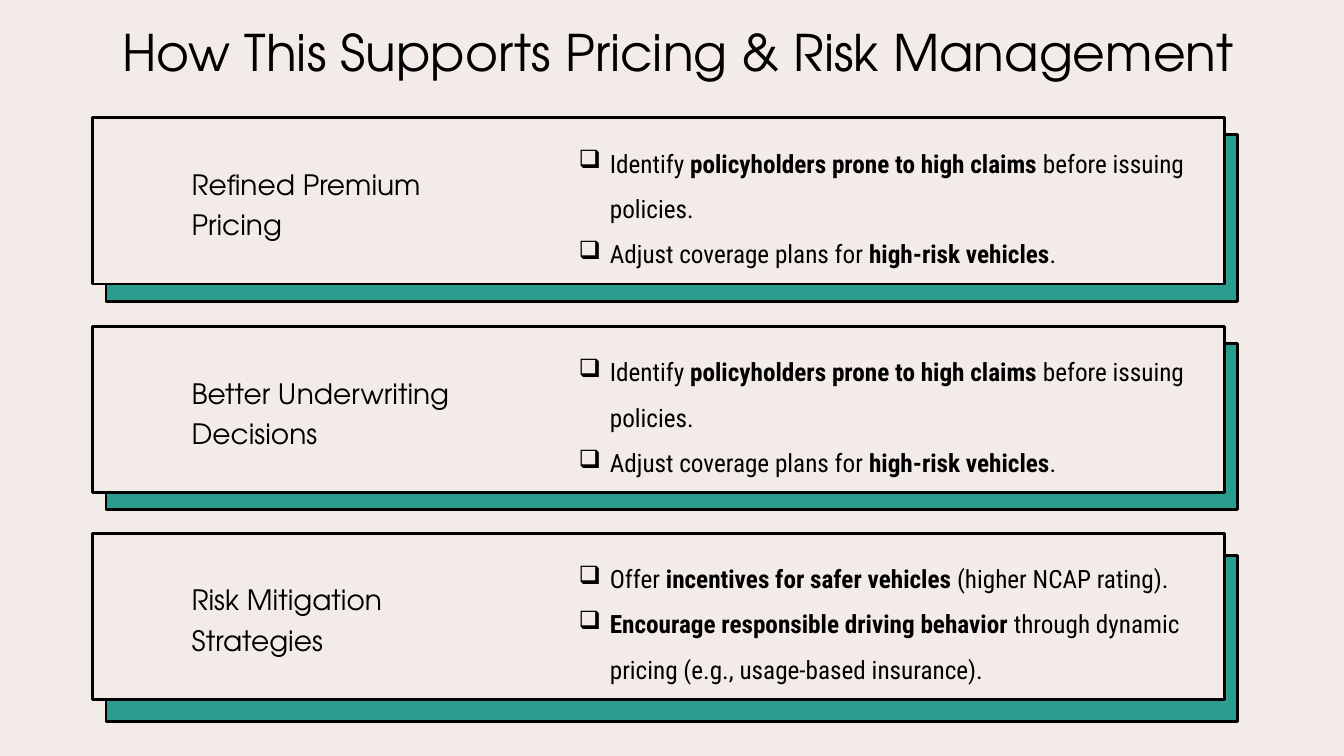
"""Build a slide with three shadowed cards on pricing and risk management."""
from lxml.etree import SubElement
from pptx import Presentation
from pptx.dml.color import RGBColor
from pptx.enum.shapes import MSO_SHAPE as Preset
from pptx.enum.text import MSO_ANCHOR as Anchor, PP_ALIGN as Align
from pptx.oxml.ns import qn
from pptx.util import Cm, Pt

INK, PAPER, TEAL = "000000", "F3EBE8", "2A9D8F"
HEADING = {"name": "TeX Gyre Adventor", "size": Pt(20)}
BODY = {"name": "Roboto Condensed", "size": Pt(18)}
CARD_FRAME = {"margin_left": Cm(2.49), "margin_right": Cm(18.03),
              "vertical_anchor": Anchor.MIDDLE, "word_wrap": True}
POINTS_FRAME = {"vertical_anchor": Anchor.MIDDLE, "word_wrap": True}
CARD_LEFT, CARD_WIDTH, CARD_HEIGHT = 2.34, 28.52, 4.19

CLAIM_POINTS = [
    ["Identify ", "policyholders prone to high claims", " before issuing policies."],
    ["Adjust coverage plans for ", "high-risk vehicles", "."],
]
SAFETY_POINTS = [
    ["Offer ", "incentives for safer vehicles", " (higher NCAP rating)."],
    ["", "Encourage responsible driving behavior",
     " through dynamic pricing (e.g., usage-based insurance)."],
]
CARDS = [
    (2.97, 3.4, "Refined Premium Pricing", CLAIM_POINTS),
    (8.23, 8.66, "Better Underwriting Decisions", CLAIM_POINTS),
    (13.44, 14, "Risk Mitigation Strategies", SAFETY_POINTS),
]


def color(value):
    return RGBColor.from_string(value)


def add_span(para, text, style, bold=False):
    span = para.add_run()
    span.text = text
    for key, value in {**style, "bold": bold}.items():
        setattr(span.font, key, value)
    span.font.color.rgb = color(INK)


deck = Presentation()
deck.slide_width, deck.slide_height = Cm(33.87), Cm(19.05)
page = deck.slides.add_slide(deck.slide_layouts[6])
page.background.fill.solid()
page.background.fill.fore_color.rgb = color(PAPER)

title = page.shapes.add_textbox(Cm(2.84), Cm(0.41), Cm(28.93), Cm(2.82))
title.text_frame.word_wrap = True
add_span(title.text_frame.paragraphs[0], "How This Supports Pricing & Risk Management",
         {**HEADING, "size": Pt(36)})

for top, shadow_top, heading, points in CARDS:
    for left, box_top, fill in [(2.67, shadow_top, TEAL), (CARD_LEFT, top, PAPER)]:
        card = page.shapes.add_shape(Preset.RECTANGLE, Cm(left), Cm(box_top),
                                     Cm(CARD_WIDTH), Cm(CARD_HEIGHT))
        card.shadow.inherit = False
        card.fill.solid()
        card.fill.fore_color.rgb = color(fill)
        card.line.color.rgb = color(INK)
        card.line.width = Pt(2)

    for key, value in CARD_FRAME.items():
        setattr(card.text_frame, key, value)
    para = card.text_frame.paragraphs[0]
    para.alignment, para.line_spacing = Align.LEFT, 1.2
    add_span(para, heading, HEADING)

    box = page.shapes.add_textbox(Cm(13.06), Cm(top + 0.25), Cm(17.81), Cm(3.68))
    for key, value in POINTS_FRAME.items():
        setattr(box.text_frame, key, value)
    for index, point in enumerate(points):
        para = box.text_frame.add_paragraph() if index else box.text_frame.paragraphs[0]
        para.level, para.line_spacing = 1, 1.5
        properties = para._p.get_or_add_pPr()
        properties.set("marL", str(Cm(2.06)))
        properties.set("indent", str(Cm(-0.79)))
        SubElement(properties, qn("a:buChar")).set("char", "❑")
        for part, text in enumerate(point):
            if text:
                add_span(para, text, BODY, bold=part == 1)

deck.save("out.pptx")
